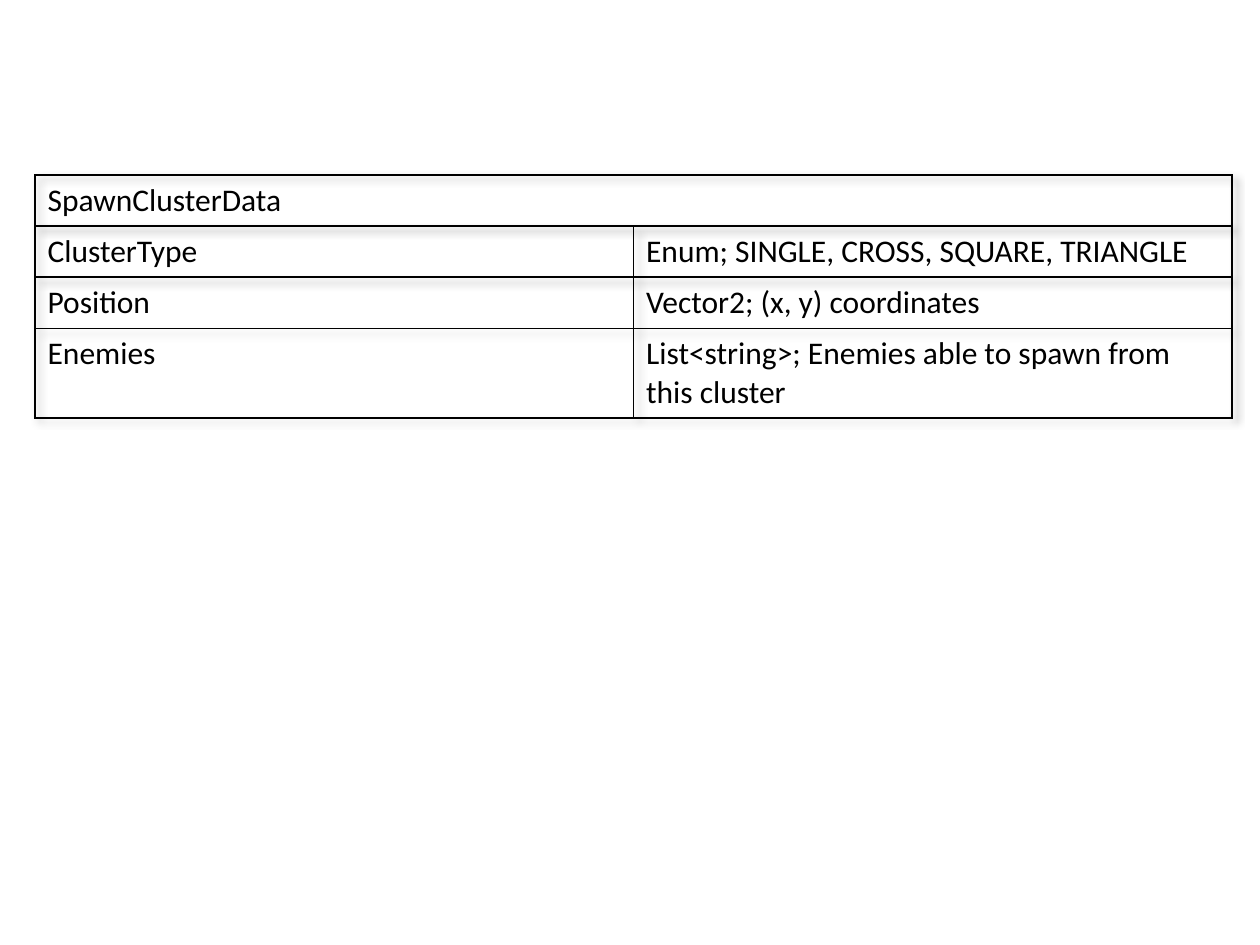
import pptx
import pptx.util
import pptx.dml.color
import pptx.oxml
import pptx.oxml.ns

SCALE = 914400 / 126
GRID = "{5940675A-B579-460E-94D1-54222C63F5DA}"


def px(n):
    return pptx.util.Emu(round(n * SCALE))


def color(code):
    return pptx.dml.color.RGBColor.from_string(code)


def node(xml):
    space = pptx.oxml.ns.nsdecls("a")
    return pptx.oxml.parse_xml(xml.replace(" ", f" {space} ", 1))


class Deck:
    """Holds the style and the current slide."""

    font, size, ink = "Calibri", 18, "000000"

    def __init__(self, wide, high):
        self.file = pptx.Presentation()
        self.file.slide_width, self.file.slide_height = px(wide), px(high)
        self.slide = self.file.slides.add_slide(self.file.slide_layouts[6])

    def label(self, cell, text):
        run = cell.text_frame.paragraphs[0].add_run()
        run.text = text
        run.font.name = self.font
        run.font.size = pptx.util.Pt(self.size)
        run.font.color.rgb = color(self.ink)

    def border(self, cell):
        props = cell._tc.get_or_add_tcPr()
        for spot, side in enumerate("LRTB"):
            props.insert(spot, node(
                f'<a:ln{side} w="12700"><a:solidFill><a:srgbClr val="{self.ink}"/>'
                f'</a:solidFill></a:ln{side}>'))

    def shade(self, table):
        props = table._tbl.tblPr
        props.find(pptx.oxml.ns.qn("a:tableStyleId")).text = GRID
        props.insert(0, node(
            '<a:effectLst ><a:outerShdw blurRad="50800" dist="38100" dir="2700000">'
            f'<a:srgbClr val="{self.ink}"><a:alpha val="40000"/></a:srgbClr>'
            '</a:outerShdw></a:effectLst>'))

    def table(self, left, top, wide, step, rows):
        count = max(map(len, rows))
        table = self.slide.shapes.add_table(
            len(rows), count, px(left), px(top), px(wide), px(step * len(rows))).table
        table.first_row = table.horz_banding = False
        self.shade(table)
        for r, row in enumerate(rows):
            table.rows[r].height = px(step)
            if len(row) < count:
                table.cell(r, len(row) - 1).merge(table.cell(r, count - 1))
            for c in range(count):
                cell = table.cell(r, c)
                cell.fill.background()
                self.border(cell)
                if c < len(row):
                    self.label(cell, row[c])


deck = Deck(1260, 945)
deck.table(35, 175, 1197, 51, [
    ["SpawnClusterData"],
    ["ClusterType", "Enum; SINGLE, CROSS, SQUARE, TRIANGLE"],
    ["Position", "Vector2; (x, y) coordinates"],
    ["Enemies", "List<string>; Enemies able to spawn from this cluster"],
])
deck.file.save("out.pptx")
